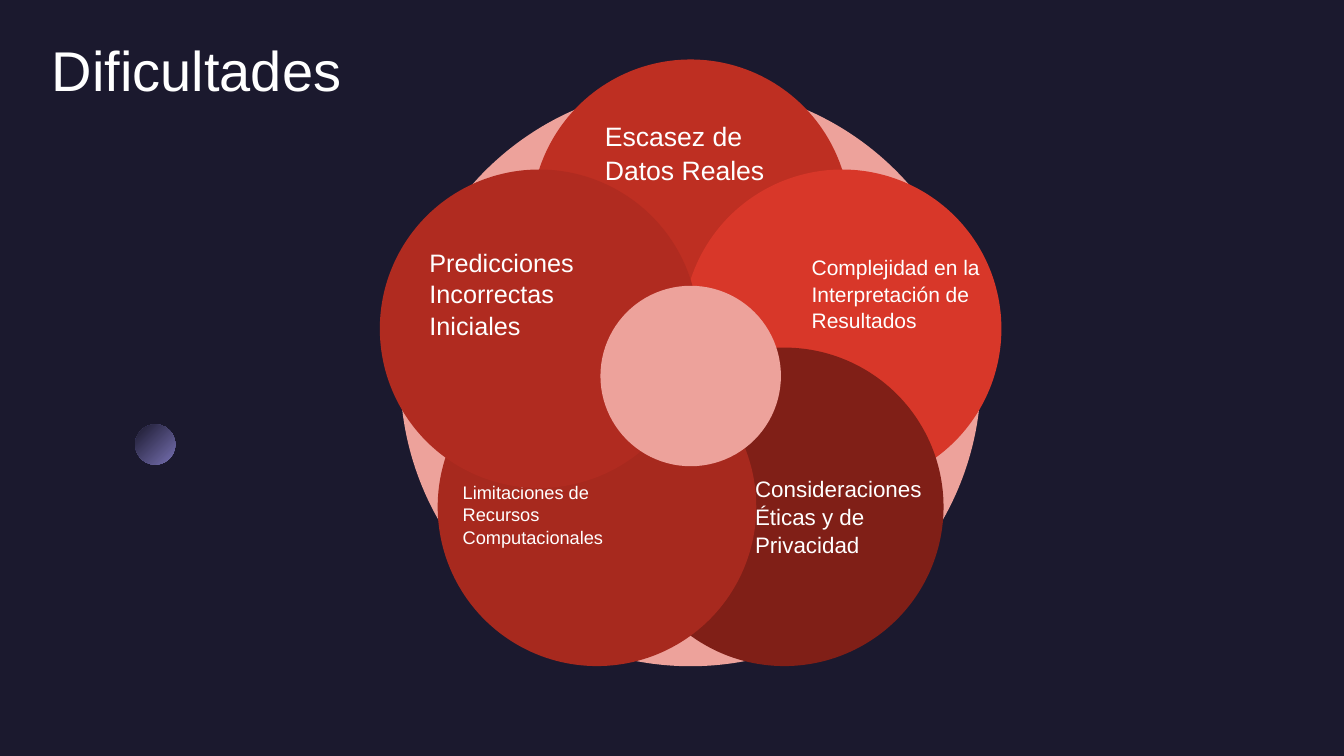
"""Build the "Dificultades" slide: five overlapping petals around a central circle."""
from dataclasses import dataclass
from math import cos, radians, sin

from lxml.etree import SubElement
from pptx import Presentation
from pptx.dml.color import RGBColor
from pptx.enum.shapes import MSO_SHAPE as Shape
from pptx.enum.text import MSO_ANCHOR as Anchor, PP_ALIGN as Align
from pptx.oxml.ns import qn
from pptx.util import Inches, Pt


@dataclass(frozen=True)
class Theme:
    font: str = "Arial"
    background: str = "1B192E"
    bead_end: str = "7771B2"
    pale: str = "EDA29B"
    text: str = "FFFFFF"
    petals: tuple = ("BE2F22", "D83729", "801F17", "A7291E", "B02B20")
    title_size: int = 40
    petal_sizes: tuple = (19, 15, 16, 13, 18)


theme = Theme()


def add_circle(shapes, center_x, center_y, diameter, color):
    shape = shapes.add_shape(
        Shape.OVAL,
        Inches(center_x - diameter / 2), Inches(center_y - diameter / 2),
        Inches(diameter), Inches(diameter),
    )
    shape.shadow.inherit = False
    shape.fill.solid()
    shape.fill.fore_color.rgb = RGBColor.from_string(color)
    shape.line.fill.background()
    return shape


def add_text(shapes, text, left, top, width, height, size):
    box = shapes.add_textbox(Inches(left), Inches(top), Inches(width), Inches(height))
    box.text_frame.word_wrap = True
    paragraph = box.text_frame.paragraphs[0]
    paragraph.text = text
    paragraph.font.name = theme.font
    paragraph.font.size = Pt(size)
    paragraph.font.color.rgb = RGBColor.from_string(theme.text)
    return box.text_frame


presentation = Presentation()
presentation.slide_width = Inches(13.33)
presentation.slide_height = Inches(7.5)
slide = presentation.slides.add_slide(presentation.slide_layouts[6])
slide.background.fill.solid()
slide.background.fill.fore_color.rgb = RGBColor.from_string(theme.background)

bead = add_circle(slide.shapes, 1.54, 4.41, 0.4, theme.background)
bead.fill.gradient()
for stop, position, color in zip(
    bead.fill.gradient_stops, (0, 1), (theme.background, theme.bead_end)
):
    stop.position = position
    stop.color.rgb = RGBColor.from_string(color)
gradient = bead._element.spPr.find(qn("a:gradFill"))
gradient.remove(gradient.find(qn("a:lin")))
radial = SubElement(gradient, qn("a:path"), path="circle")
SubElement(radial, qn("a:fillToRect"), r="100000", b="100000")

title = add_text(slide.shapes, "Dificultades", 0.3, 0.3, 3.3, 1.06, theme.title_size)
title.paragraphs[0].alignment = Align.CENTER

center_x, center_y = 6.85, 3.75
orbit = 1.58
add_circle(slide.shapes, center_x, 3.73, 5.76, theme.pale)

labels = [
    ("Escasez de Datos Reales", 5.87, 1.03),
    ("Complejidad en la Interpretación de Resultados", 7.92, 2.43),
    ("Consideraciones Éticas y de Privacidad", 7.36, 4.64),
    ("Limitaciones de Recursos Computacionales", 4.46, 4.62),
    ("Predicciones Incorrectas Iniciales", 4.13, 2.43),
]
for index, (label, left, top) in enumerate(labels):
    angle = radians(index * 360 / len(labels))
    petal = slide.shapes.add_group_shape()
    add_circle(
        petal.shapes,
        center_x + orbit * sin(angle), center_y - orbit * cos(angle),
        3.16, theme.petals[index],
    )
    frame = add_text(petal.shapes, label, left, top, 1.94, 0.96, theme.petal_sizes[index])
    frame.vertical_anchor = Anchor.MIDDLE
    frame.margin_left = frame.margin_right = Inches(0.13)
    frame.margin_top = frame.margin_bottom = Inches(0.13)
    frame.paragraphs[0].line_spacing = 1.04

add_circle(slide.shapes, center_x, 3.73, 1.79, theme.pale)

presentation.save("out.pptx")
